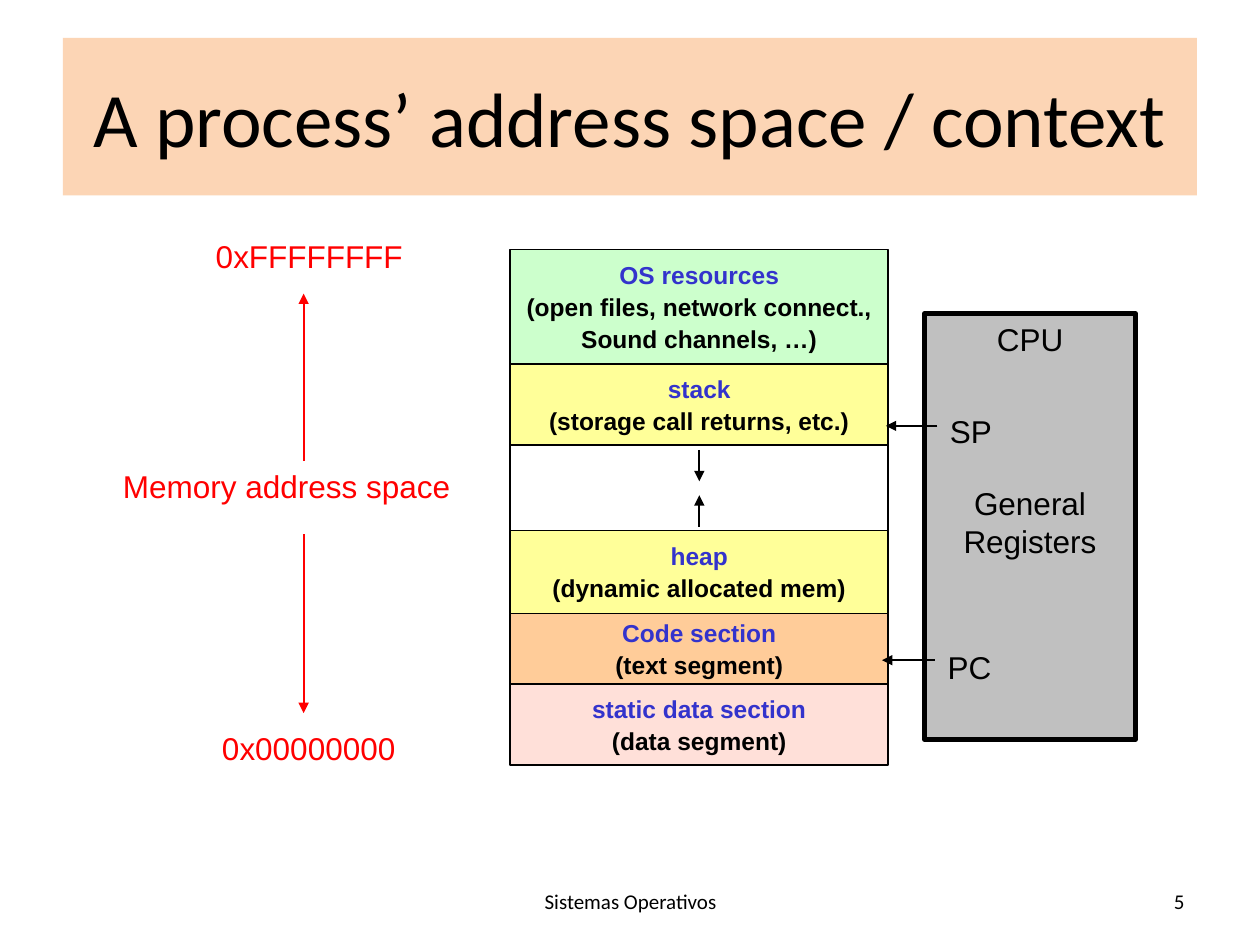
from dataclasses import dataclass

from lxml.etree import SubElement
from pptx import Presentation
from pptx.dml.color import RGBColor
from pptx.enum.shapes import MSO_CONNECTOR, MSO_SHAPE
from pptx.enum.text import MSO_ANCHOR, MSO_AUTO_SIZE, PP_ALIGN
from pptx.oxml.ns import qn
from pptx.util import Inches, Pt

COLS, ROWS = 100, 75  # grid of tenth-inch cells


@dataclass(frozen=True)
class Theme:
    """Colours, fonts and type sizes of the slide."""
    banner: str = "FCD5B5"
    black: str = "000000"
    red: str = "FF0000"
    blue: str = "3333CC"
    green: str = "CCFFCC"
    yellow: str = "FFFF99"
    orange: str = "FFCC99"
    pink: str = "FFE0D9"
    white: str = "FFFFFF"
    grey: str = "C0C0C0"
    heading: str = "Calibri"
    body: str = "Arial"
    title_size: float = 44
    label_size: float = 18
    segment_size: float = 14
    footer_size: float = 12


T = Theme()


@dataclass(frozen=True)
class Line:
    """One paragraph and its format."""
    text: str
    size: float = T.label_size
    color: str = T.black
    font: str = T.body
    bold: bool = False
    before: float = 0
    align: PP_ALIGN = PP_ALIGN.CENTER


@dataclass(frozen=True)
class Box:
    """A rectangle in grid cells; without fill it is a text box."""
    col: float
    row: float
    cols: float
    rows: float
    lines: tuple[Line, ...] = ()
    fill: str | None = None
    border: float = 0
    anchor: MSO_ANCHOR = MSO_ANCHOR.MIDDLE
    wrap: bool = False


@dataclass(frozen=True)
class Segment:
    """One band of the address space."""
    rows: float
    fill: str
    name: str = ""
    details: tuple[str, ...] = ()


@dataclass(frozen=True)
class Arrow:
    """An arrow in grid cells, from its start to its tip."""
    col: float
    row: float
    tip_col: float
    tip_row: float
    color: str = T.black


def cells(n: float) -> int:
    """Turn grid cells into a length."""
    return Inches(n / 10)


def write(tf, lines: tuple[Line, ...]) -> None:
    """Fill a text frame with formatted paragraphs."""
    for i, line in enumerate(lines):
        p = tf.add_paragraph() if i else tf.paragraphs[0]
        p.alignment, p.space_before = line.align, Pt(line.before)
        r = p.add_run()
        r.text = line.text
        r.font.color.rgb = RGBColor.from_string(line.color)
        formats = {"name": line.font, "size": Pt(line.size), "bold": line.bold}
        for key, value in formats.items():
            setattr(r.font, key, value)


def draw_box(shapes, box: Box) -> None:
    """Draw a filled rectangle or a plain text box."""
    place = [cells(n) for n in (box.col, box.row, box.cols, box.rows)]
    if box.fill:
        sp = shapes.add_shape(MSO_SHAPE.RECTANGLE, *place)
        sp.shadow.inherit = False
        sp.fill.solid()
        sp.fill.fore_color.rgb = RGBColor.from_string(box.fill)
        if box.border:
            sp.line.color.rgb = RGBColor.from_string(T.black)
            sp.line.width = Pt(box.border)
        else:
            sp.line.fill.background()
    else:
        sp = shapes.add_textbox(*place)
    tf = sp.text_frame
    tf.word_wrap, tf.vertical_anchor = box.wrap, box.anchor
    if not box.fill and not box.wrap:
        tf.auto_size = MSO_AUTO_SIZE.SHAPE_TO_FIT_TEXT
    write(tf, box.lines)


def draw_arrow(shapes, arrow: Arrow) -> None:
    """Draw a thin line with a triangle at its tip."""
    ends = (arrow.col, arrow.row, arrow.tip_col, arrow.tip_row)
    cn = shapes.add_connector(MSO_CONNECTOR.STRAIGHT, *map(cells, ends))
    cn.line.color.rgb = RGBColor.from_string(arrow.color)
    cn.line.width = Pt(1)
    sp_pr = cn._element.spPr
    SubElement(sp_pr.find(qn("a:ln")), qn("a:tailEnd"), type="triangle")
    SubElement(sp_pr, qn("a:effectLst"))


def draw_segments(shapes, col: float, row: float, cols: float,
                  segments: tuple[Segment, ...]) -> None:
    """Stack the segments downwards from the given cell."""
    for seg in segments:
        lines = tuple(
            Line(text, T.segment_size, T.black if i else T.blue,
                 bold=True, before=1.7 if i else 0)
            for i, text in enumerate((seg.name, *seg.details)) if text)
        draw_box(shapes, Box(col, row, cols, seg.rows, lines, seg.fill, 1))
        row += seg.rows


def label(col: float, row: float, cols: float, text: str,
          color: str = T.black) -> Box:
    """Make a one-line label."""
    return Box(col, row, cols, 4, (Line(text, color=color),),
               anchor=MSO_ANCHOR.TOP)


SEGMENTS = (
    Segment(9.1, T.green, "OS resources",
            ("(open files, network connect.,", "Sound channels, …)")),
    Segment(6.4, T.yellow, "stack", ("(storage call returns, etc.)",)),
    Segment(6.8, T.white),
    Segment(6.6, T.yellow, "heap", ("(dynamic allocated mem)",)),
    Segment(5.6, T.orange, "Code section", ("(text segment)",)),
    Segment(6.4, T.pink, "static data section", ("(data segment)",)),
)
FRAME = (
    Box(5, 3, 90, 12.5, (Line("A process’ address space / context",
                              T.title_size, font=T.heading),),
        T.banner, wrap=True),
    Box(34.2, 69.5, 31.7, 4, (Line("Sistemas Operativos", T.footer_size,
                                   font=T.heading),), wrap=True),
    Box(71.7, 69.5, 23.3, 4, (Line("5", T.footer_size, font=T.heading,
                                   align=PP_ALIGN.RIGHT),), wrap=True),
    label(16.6, 57.4, 15.8, "0x00000000", T.red),
    label(16.1, 18.3, 16.9, "0xFFFFFFFF", T.red),
    label(8.7, 36.6, 28.1, "Memory address space", T.red),
    Box(73.4, 24.9, 16.7, 33.8,
        (Line("CPU"), Line("General Registers", before=72)),
        T.grey, 3, MSO_ANCHOR.TOP, True),
    label(74.1, 50.9, 5.7, "PC"),
    label(74.2, 32.2, 5.7, "SP"),
)
ARROWS = (
    Arrow(24.1, 36.6, 24.1, 23.3, T.red),
    Arrow(24.1, 42.4, 24.1, 56.6, T.red),
    Arrow(55.5, 35.7, 55.5, 38.2),
    Arrow(55.5, 41.8, 55.5, 39.3),
    Arrow(74.4, 33.8, 70.3, 33.8),
    Arrow(74.2, 52.4, 70, 52.4),
)

prs = Presentation()
prs.slide_width, prs.slide_height = cells(COLS), cells(ROWS)
shapes = prs.slides.add_slide(prs.slide_layouts[6]).shapes
for box in FRAME:
    draw_box(shapes, box)
draw_segments(shapes, 40.5, 19.8, 30, SEGMENTS)
for arrow in ARROWS:
    draw_arrow(shapes, arrow)
prs.save("out.pptx")
